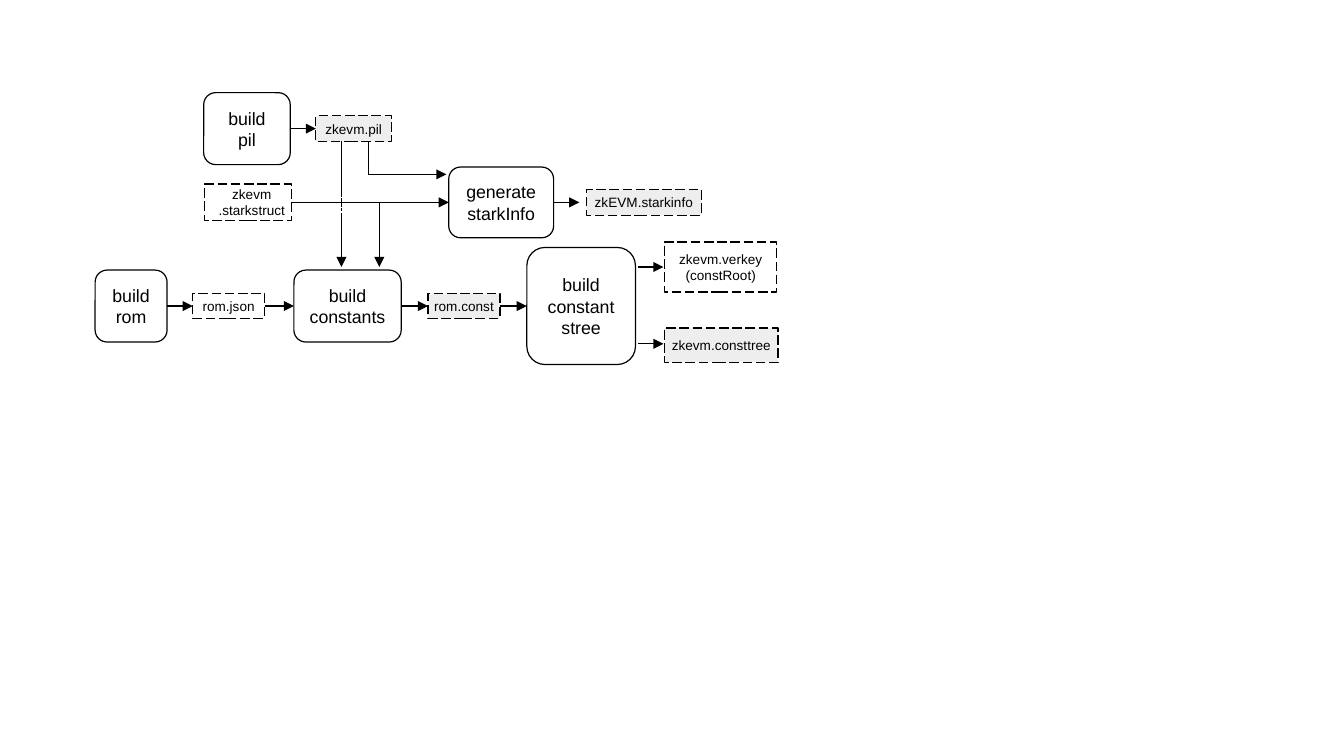
"""Build a flow diagram of the zkEVM setup steps and the files they produce."""
from lxml.etree import SubElement
from pptx import Presentation
from pptx.dml.color import RGBColor as Color
from pptx.enum.dml import MSO_LINE as Dash
from pptx.enum.shapes import MSO_CONNECTOR as Connector, MSO_SHAPE as Shape
from pptx.enum.text import MSO_ANCHOR as Anchor, PP_ALIGN as Align
from pptx.oxml.ns import qn
from pptx.util import Inches, Pt

COLORS = {"ink": "000000", "paper": "FFFFFF", "built": "EEEEEE"}
CELL = Inches(0.1)
LINE_WIDTH = Pt(0.71)
PIL, STARK, ROM = 10.55, 16.6, 25.1
TOP, LEFT, BOTTOM, RIGHT = range(4)

deck = Presentation()
deck.slide_width, deck.slide_height = Inches(11.02), Inches(6.2)
page = deck.slides.add_slide(deck.slide_layouts[6])


def add_box(lines, left, middle, width, height, kind):
    """Place a step or file box, centred on a row of the grid."""
    is_step = kind == "step"
    preset = Shape.ROUNDED_RECTANGLE if is_step else Shape.RECTANGLE
    edges = (left, middle - height / 2, width, height)
    box = page.shapes.add_shape(preset, *(round(edge * CELL) for edge in edges))
    box.shadow.inherit = False
    box.line.width = LINE_WIDTH
    box.line.color.rgb = Color.from_string(COLORS["ink"])
    if kind == "input":
        box.fill.background()
    else:
        box.fill.solid()
        box.fill.fore_color.rgb = Color.from_string(COLORS["paper" if is_step else "built"])
    frame = box.text_frame
    frame.word_wrap = True
    frame.vertical_anchor = Anchor.MIDDLE
    if not is_step:
        box.line.dash_style = Dash.LONG_DASH
        frame.margin_left = frame.margin_right = 0
        frame.margin_top = frame.margin_bottom = 0
    for index, line in enumerate(lines):
        para = frame.paragraphs[0] if index == 0 else frame.add_paragraph()
        para.alignment = Align.CENTER
        span = para.add_run()
        span.text = line
        span.font.name = "Arial"
        span.font.size = Pt(10.5 if is_step else 8)
        span.font.color.rgb = Color.from_string(COLORS["ink"])
    return box


def add_line(start, end, arrow=True, dash=None):
    """Draw a straight line between two grid points."""
    points = [round(value * CELL) for value in (*start, *end)]
    link = page.shapes.add_connector(Connector.STRAIGHT, *points)
    link.line.width = LINE_WIDTH
    link.line.color.rgb = Color.from_string(COLORS["ink"])
    if dash:
        link.line.dash_style = dash
    properties = link._element.spPr
    if arrow:
        SubElement(properties.find(qn("a:ln")), qn("a:tailEnd"), type="triangle")
    SubElement(properties, qn("a:effectLst"))
    return link


layout = {
    "pil": (["build", "pil"], 16.7, PIL, 7.1, 5.9, "step"),
    "pil file": (["zkevm.pil"], 25.9, PIL, 6.2, 2.1, "built"),
    "struct file": (["zkevm", ".starkstruct"], 16.8, STARK, 7.1, 3, "input"),
    "info": (["generate", "starkInfo"], 36.8, STARK, 8.6, 5.8, "step"),
    "info file": (["zkEVM.starkinfo"], 48.1, STARK, 9.4, 2.1, "built"),
    "rom": (["build", "rom"], 7.8, ROM, 5.9, 5.9, "step"),
    "json file": (["rom.json"], 15.8, ROM, 5.9, 2, "input"),
    "constants": (["build", "constants"], 24.1, ROM, 8.8, 5.9, "step"),
    "const file": (["rom.const"], 35.1, ROM, 5.9, 2, "built"),
    "tree": (["build", "constantstree"], 43.2, ROM, 8.9, 9.6, "step"),
    "key file": (["zkevm.verkey", "(constRoot)"], 54.5, 21.9, 9.2, 4.1, "input"),
    "tree file": (["zkevm.consttree"], 54.5, 28.3, 9.3, 2.8, "built"),
}
boxes = {name: add_box(*place) for name, place in layout.items()}
boxes["struct file"].text_frame.margin_left = Inches(0.06)

flows = [("pil", "pil file"), ("struct file", "info"), ("rom", "json file"),
         ("json file", "constants"), ("constants", "const file"), ("const file", "tree")]
for source, target in flows:
    link = add_line((0, 0), (1, 1))
    link.begin_connect(boxes[source], RIGHT)
    link.end_connect(boxes[target], LEFT)

info_link = add_line((45.4, STARK), (47.5, STARK))
info_link.begin_connect(boxes["info"], RIGHT)

for row in (21.9, 28.2):
    add_line((52.3, row), (54.4, row))

add_line((30.2, 11.6), (30.2, 14.3), arrow=False)
add_line((30.2, 14.3), (36.6, 14.3))
add_line((31.1, STARK), (31.1, 21.9))
add_line((28, 11.6), (28, 16), arrow=False)
add_line((28, 13.9), (28, 18.8), arrow=False, dash=Dash.SQUARE_DOT)
add_line((28, 17.6), (28, 21.9))

deck.save("out.pptx")
